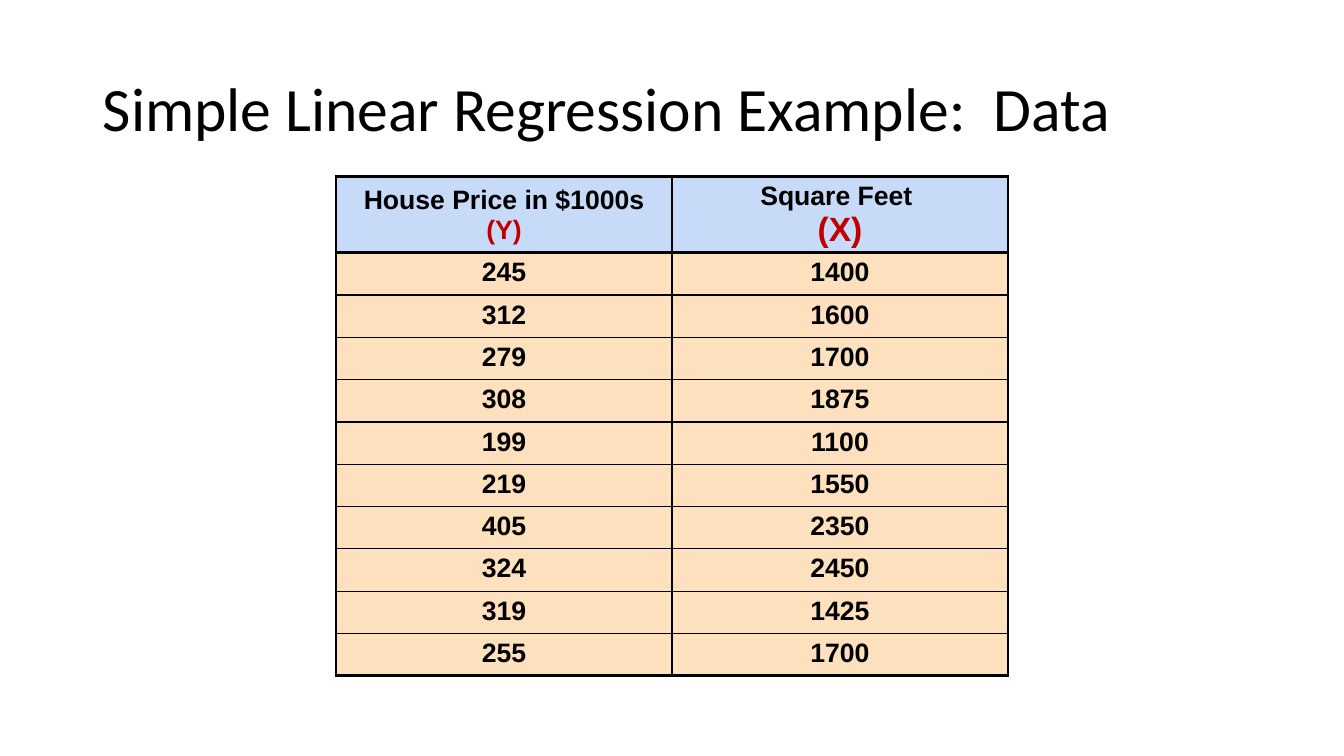
import pptx
import pptx.dml.color
import pptx.enum.text
import pptx.oxml.ns
import pptx.util
import lxml.etree

TITLE = "Simple Linear Regression Example:  Data"
HEADERS = [
    [("House Price in $1000s", 19, "000000"), ("(Y)", 19, "C00000")],
    [("Square Feet ", 19, "000000"), ("(X)", 24, "C00000")],
]
HOUSES = [
    (245, 1400), (312, 1600), (279, 1700), (308, 1875), (199, 1100),
    (219, 1550), (405, 2350), (324, 2450), (319, 1425), (255, 1700),
]
WIDTH, HEIGHT = 13.33, 7.5
HEADER_HEIGHT, ROW_HEIGHT = 0.75, 0.42
THICK, THIN = 2.25, 1
HEADER_FILL, BODY_FILL, INK = "C7DAF7", "FDE0BD", "000000"

inches = pptx.util.Inches
qn = pptx.oxml.ns.qn


def color(value):
    return pptx.dml.color.RGBColor.from_string(value)


def add_span(para, text, size, font, ink, bold=False):
    span = para.add_run()
    span.text = text
    span.font.size = pptx.util.Pt(size)
    span.font.name = font
    span.font.bold = bold
    span.font.color.rgb = color(ink)


def space_before_percent(para, percent):
    para.space_before = pptx.util.Pt(0)
    spacing = para._p.pPr.find(qn("a:spcBef"))
    spacing.clear()
    lxml.etree.SubElement(spacing, qn("a:spcPct"), val=str(percent * 1000))


def add_border(cell, side, points):
    properties = cell._tc.get_or_add_tcPr()
    line = lxml.etree.SubElement(
        properties, qn(f"a:ln{side}"), w=str(pptx.util.Pt(points)))
    fill = lxml.etree.SubElement(line, qn("a:solidFill"))
    lxml.etree.SubElement(fill, qn("a:srgbClr"), val=INK)


def fill_cell(cell, lines, fill, borders):
    for side, points in borders.items():
        add_border(cell, side, points)
    cell.fill.solid()
    cell.fill.fore_color.rgb = color(fill)
    for index, (text, size, ink) in enumerate(lines):
        frame = cell.text_frame
        para = frame.add_paragraph() if index else frame.paragraphs[0]
        para.alignment = pptx.enum.text.PP_ALIGN.CENTER
        if index:
            para.line_spacing = 0.8
        space_before_percent(para, 20)
        add_span(para, text, size, "Arial", ink, bold=True)


def add_title(page):
    box = page.shapes.title
    box.left, box.top = inches(0.92), inches(0.4)
    box.width, box.height = inches(11.5), inches(1.45)
    box.text_frame.vertical_anchor = pptx.enum.text.MSO_ANCHOR.MIDDLE
    para = box.text_frame.paragraphs[0]
    para.alignment = pptx.enum.text.PP_ALIGN.LEFT
    para.line_spacing = 0.8
    add_span(para, TITLE, 44, "Calibri", INK)


def add_house_table(page):
    rows = [HEADERS] + [
        [[(str(value), 19, INK)] for value in house] for house in HOUSES]
    last_row, last_column = len(rows) - 1, len(HEADERS) - 1
    table = page.shapes.add_table(
        len(rows), len(HEADERS), inches(WIDTH / 4), inches(1.75),
        inches(WIDTH / 2), inches(HEADER_HEIGHT + ROW_HEIGHT * last_row)).table
    table.first_row = table.horz_banding = False
    for row, contents in enumerate(rows):
        table.rows[row].height = inches(ROW_HEIGHT if row else HEADER_HEIGHT)
        for column, lines in enumerate(contents):
            cell = table.cell(row, column)
            borders = {
                "L": THICK if column == 0 else THIN,
                "R": THICK if column == last_column else THIN,
                "T": THICK if row < 2 else THIN,
                "B": THICK if row in (0, last_row) else THIN,
            }
            fill_cell(cell, lines, BODY_FILL if row else HEADER_FILL, borders)
            if row == 0:
                cell.vertical_anchor = pptx.enum.text.MSO_ANCHOR.MIDDLE


def main():
    deck = pptx.Presentation()
    deck.slide_width, deck.slide_height = inches(WIDTH), inches(HEIGHT)
    page = deck.slides.add_slide(deck.slide_layouts[5])
    add_title(page)
    add_house_table(page)
    deck.save("out.pptx")


if __name__ == "__main__":
    main()
